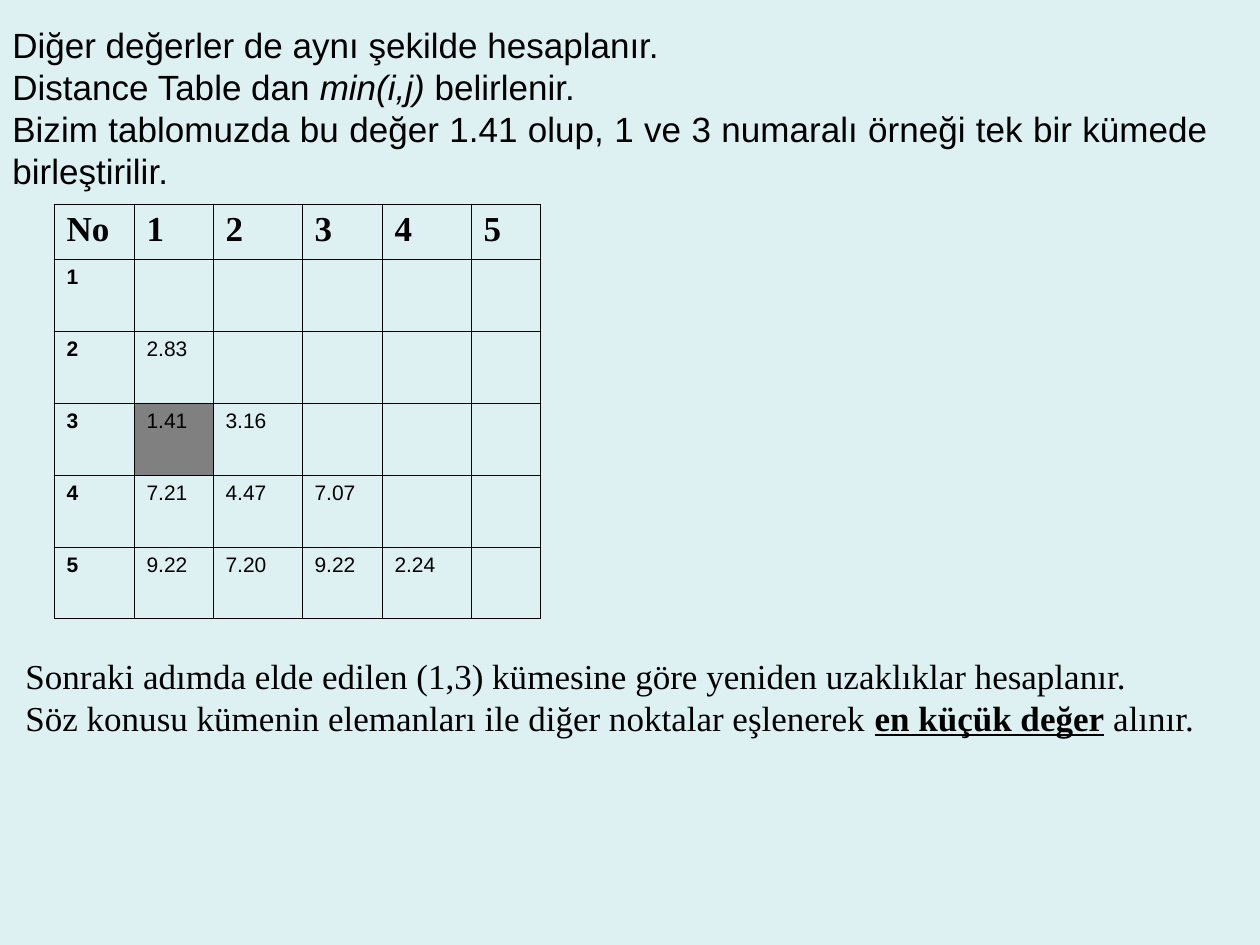
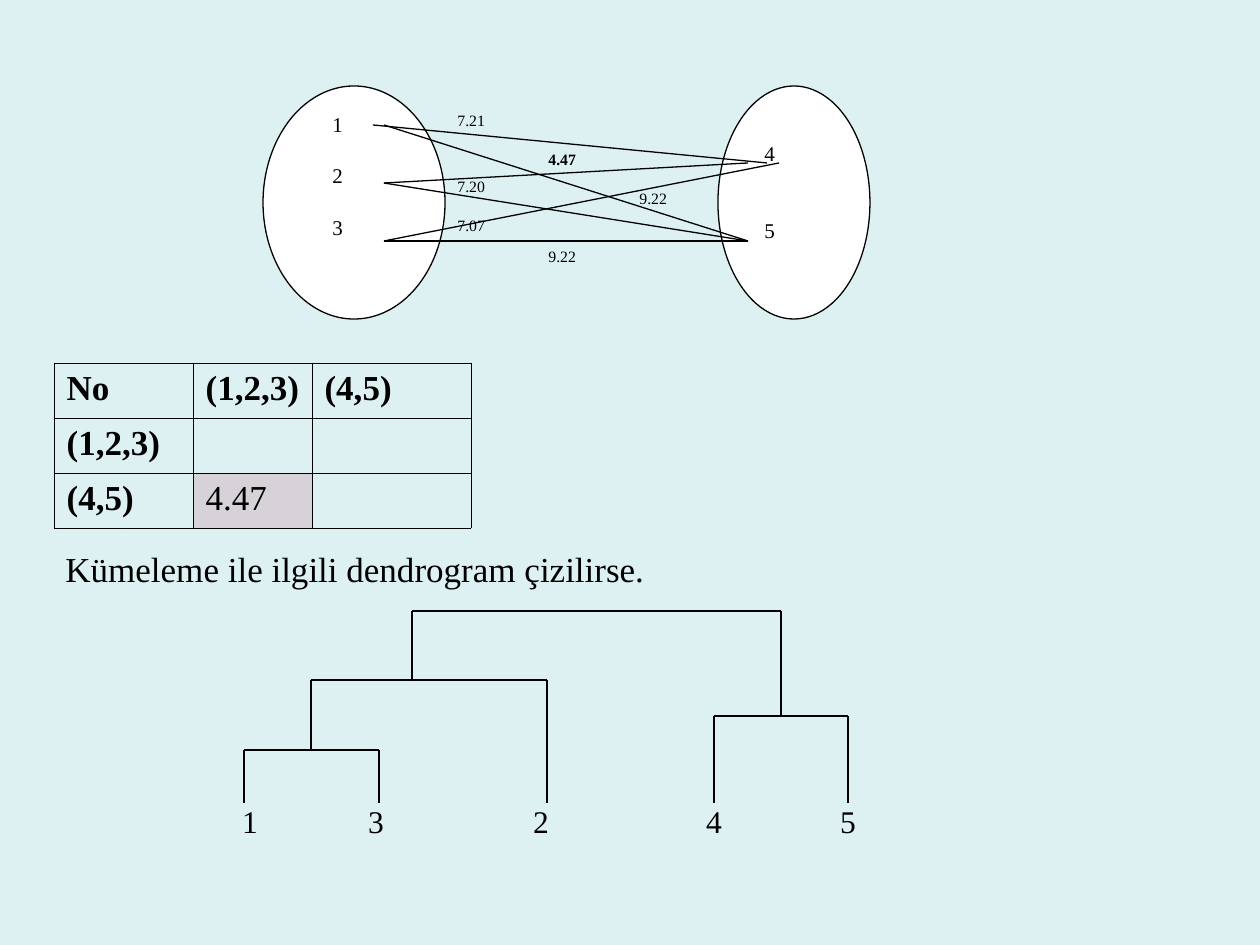
"""Build two slides on hierarchical clustering."""
import dataclasses

import lxml.etree
import pptx
import pptx.dml.color
import pptx.enum.shapes
import pptx.enum.text
import pptx.oxml.ns
import pptx.util

PX = 914400 / 126
JUSTIFY = pptx.enum.text.PP_ALIGN.JUSTIFY
LEFT = pptx.enum.text.PP_ALIGN.LEFT
MIDDLE = pptx.enum.text.MSO_ANCHOR.MIDDLE
TOP = pptx.enum.text.MSO_ANCHOR.TOP


@dataclasses.dataclass(frozen=True)
class Theme:
    """Colours, fonts and sizes shared by the slides."""
    background: str = "DEF1F2"
    ink: str = "000000"
    cluster: str = "FFFFFF"
    minimum: str = "808080"
    merged: str = "D7D2D8"
    sans: str = "Arial"
    serif: str = "Times New Roman"
    body: int = 20
    leaf: int = 18
    label: int = 12
    distance: int = 9
    line: float = 0.75
    border: float = 0.45


THEME = Theme()


def px(length):
    """Turn pixels into EMU."""
    return pptx.util.Emu(round(length * PX))


def rgb(name):
    """Return the colour for a hex name."""
    return pptx.dml.color.RGBColor.from_string(name)


def style(span, face, size, bold=False, italic=False, underline=False):
    """Format one run."""
    span.font.name = face
    span.font.size = pptx.util.Pt(size)
    span.font.color.rgb = rgb(THEME.ink)
    span.font.bold = bold
    span.font.italic = italic
    span.font.underline = underline


def add_text(shapes, place, paragraphs, face, size, align=LEFT, anchor=TOP,
             gap=0, bold=False):
    """Add a text box whose paragraphs are lists of (text, emphasis) spans."""
    box = shapes.add_textbox(*map(px, place))
    frame = box.text_frame
    frame.word_wrap = True
    frame.vertical_anchor = anchor
    for index, spans in enumerate(paragraphs):
        para = frame.add_paragraph() if index else frame.paragraphs[0]
        para.alignment = align
        if index and gap:
            para.space_before = pptx.util.Pt(gap)
        for text, emphasis in spans:
            span = para.add_run()
            span.text = text
            style(span, face, size, **{"bold": bold, **emphasis})
    return box


def plain(*texts):
    """Wrap plain texts as paragraphs of one span each."""
    return [[(text, {})] for text in texts]


def add_line(shapes, start, end):
    """Draw a thin straight line between two points."""
    line = shapes.add_connector(pptx.enum.shapes.MSO_CONNECTOR.STRAIGHT,
                                *map(px, (*start, *end)))
    line.line.color.rgb = rgb(THEME.ink)
    line.line.width = pptx.util.Pt(THEME.line)
    lxml.etree.SubElement(line._element.spPr, pptx.oxml.ns.qn("a:effectLst"))


def add_borders(cell):
    """Give a cell four thin borders."""
    properties = cell._tc.get_or_add_tcPr()
    qn = pptx.oxml.ns.qn
    for index, side in enumerate(("lnL", "lnR", "lnT", "lnB")):
        edge = lxml.etree.Element(qn(f"a:{side}"), w=str(pptx.util.Pt(THEME.border)))
        fill = lxml.etree.SubElement(edge, qn("a:solidFill"))
        lxml.etree.SubElement(fill, qn("a:srgbClr"), val=THEME.ink)
        properties.insert(index, edge)


def add_distance_table(page, origin, columns, heights, rows, value_font, highlight):
    """Add a lower-triangle distance table with one highlighted cell."""
    frame = page.shapes.add_table(len(rows), len(columns), *map(
        px, (*origin, sum(columns), sum(heights))))
    table = frame.table
    table.first_row = table.horz_banding = False
    for column, width in zip(table.columns, columns):
        column.width = px(width)
    marked, colour = highlight
    for r, values in enumerate(rows):
        table.rows[r].height = px(heights[r])
        for c in range(len(columns)):
            cell = table.cell(r, c)
            if (r, c) == marked:
                cell.fill.solid()
                cell.fill.fore_color.rgb = rgb(colour)
            else:
                cell.fill.background()
            add_borders(cell)
            if c < len(values):
                para = cell.text_frame.paragraphs[0]
                para.text = values[c]
                para.alignment = JUSTIFY
                font = value_font if r else (THEME.serif, THEME.body)
                style(para.runs[0], *font, bold=r == 0 or c == 0)


def add_clusters(page, left, top):
    """Draw two clusters and the distances between their members."""
    shapes = page.shapes.add_group_shape().shapes
    for x, width in ((0, 182), (455, 152)):
        oval = shapes.add_shape(pptx.enum.shapes.MSO_SHAPE.OVAL,
                                *map(px, (left + x, top, width, 233)))
        oval.shadow.inherit = False
        oval.fill.solid()
        oval.fill.fore_color.rgb = rgb(THEME.cluster)
        oval.line.color.rgb = rgb(THEME.ink)
        oval.line.width = pptx.util.Pt(THEME.line)
    for x, y, width, height, members, gap in (
            (57, 19, 121, 175, "123", 15), (489, 48, 91, 136, "45", 29.6)):
        add_text(shapes, (left + x, top + y, width, height), plain(*members),
                 THEME.serif, THEME.label, gap=gap)
    for x1, y1, x2, y2 in ((110, 39, 504, 77), (121, 39, 485, 155),
                           (121, 97, 485, 77), (121, 97, 485, 155),
                           (121, 155, 516, 77), (121, 155, 485, 155)):
        add_line(shapes, (left + x1, top + y1), (left + x2, top + y2))
    for x, y, distance in ((182, 19, "7.21"), (364, 97, "9.22"),
                           (273, 58, "4.47"), (182, 85, "7.20"),
                           (182, 124, "7.07"), (273, 155, "9.22")):
        add_text(shapes, (left + x, top + y, 121, 39), plain(distance),
                 THEME.serif, THEME.distance, bold=distance == "4.47")


def add_dendrogram(page, left, top):
    """Draw the merge brackets and the row of leaf numbers."""
    shapes = page.shapes.add_group_shape().shapes
    base = 192
    for x1, foot1, x2, foot2, y in ((41, base, 176, base, 139),
                                    (108, 139, 344, base, 69),
                                    (511, base, 645, base, 105),
                                    (209, 69, 578, 105, 0)):
        corners = [(left + x, top + height) for x, height in
                   ((x1, foot1), (x1, y), (x2, y), (x2, foot2))]
        for start, end in zip(corners, corners[1:]):
            add_line(shapes, start, end)
    box = add_text(shapes, (left, top + 187, 704, 52),
                   plain("\t1\t3\t2\t4\t5"), THEME.serif, THEME.leaf)
    frame = box.text_frame
    frame.margin_left = frame.margin_right = px(8)
    frame.margin_top = frame.margin_bottom = px(4)
    qn = pptx.oxml.ns.qn
    properties = frame.paragraphs[0]._p.get_or_add_pPr()
    stops = lxml.etree.SubElement(properties, qn("a:tabLst"))
    for position in (39, 165, 330, 503, 637):
        lxml.etree.SubElement(stops, qn("a:tab"), pos=str(px(position)), algn="ctr")


def build_distance_slide(page):
    """Fill the slide that finds the smallest distance."""
    add_text(page.shapes, (0, 16, 1221, 182), [
        [("Diğer değerler de aynı şekilde hesaplanır.", {})],
        [("Distance Table dan ", {}), ("min(i,j)", {"italic": True}),
         (" belirlenir.", {})],
        [("Bizim tablomuzda bu değer 1.41 olup, 1 ve 3 numaralı örneği "
          "tek bir kümede birleştirilir.", {})],
    ], THEME.sans, THEME.body, JUSTIFY, MIDDLE)
    add_distance_table(
        page, (54, 204), (80, 79, 89, 80, 89, 69), [55] + [72] * 5,
        [["No", "1", "2", "3", "4", "5"], ["1"], ["2", "2.83"],
         ["3", "1.41", "3.16"], ["4", "7.21", "4.47", "7.07"],
         ["5", "9.22", "7.20", "9.22", "2.24"]],
        (THEME.sans, THEME.label), ((3, 1), THEME.minimum))
    add_text(page.shapes, (13, 648, 1200, 97), [
        [("Sonraki adımda elde edilen (1,3) kümesine göre yeniden "
          "uzaklıklar hesaplanır.", {})],
        [("Söz konusu kümenin elemanları ile diğer noktalar eşlenerek ", {}),
         ("en küçük değer", {"bold": True, "underline": True}),
         (" alınır.", {})],
    ], THEME.serif, THEME.body, JUSTIFY, MIDDLE)


def build_dendrogram_slide(page):
    """Fill the slide that merges the last clusters."""
    add_clusters(page, 263, 86)
    add_distance_table(
        page, (54, 363), (139, 119, 159), [55] * 3,
        [["No", "(1,2,3)", "(4,5)"], ["(1,2,3)"], ["(4,5)", "4.47"]],
        (THEME.serif, THEME.body), ((2, 1), THEME.merged))
    add_text(page.shapes, (53, 541, 610, 55),
             plain("Kümeleme ile ilgili dendrogram çizilirse."),
             THEME.serif, THEME.body, JUSTIFY, MIDDLE)
    add_dendrogram(page, 203, 611)


def main():
    """Create the deck and save it."""
    deck = pptx.Presentation()
    deck.slide_width, deck.slide_height = px(1260), px(945)
    backdrop = deck.slide_master.background.fill
    backdrop.solid()
    backdrop.fore_color.rgb = rgb(THEME.background)
    for build in (build_distance_slide, build_dendrogram_slide):
        build(deck.slides.add_slide(deck.slide_layouts[6]))
    deck.save("out.pptx")


if __name__ == "__main__":
    main()
